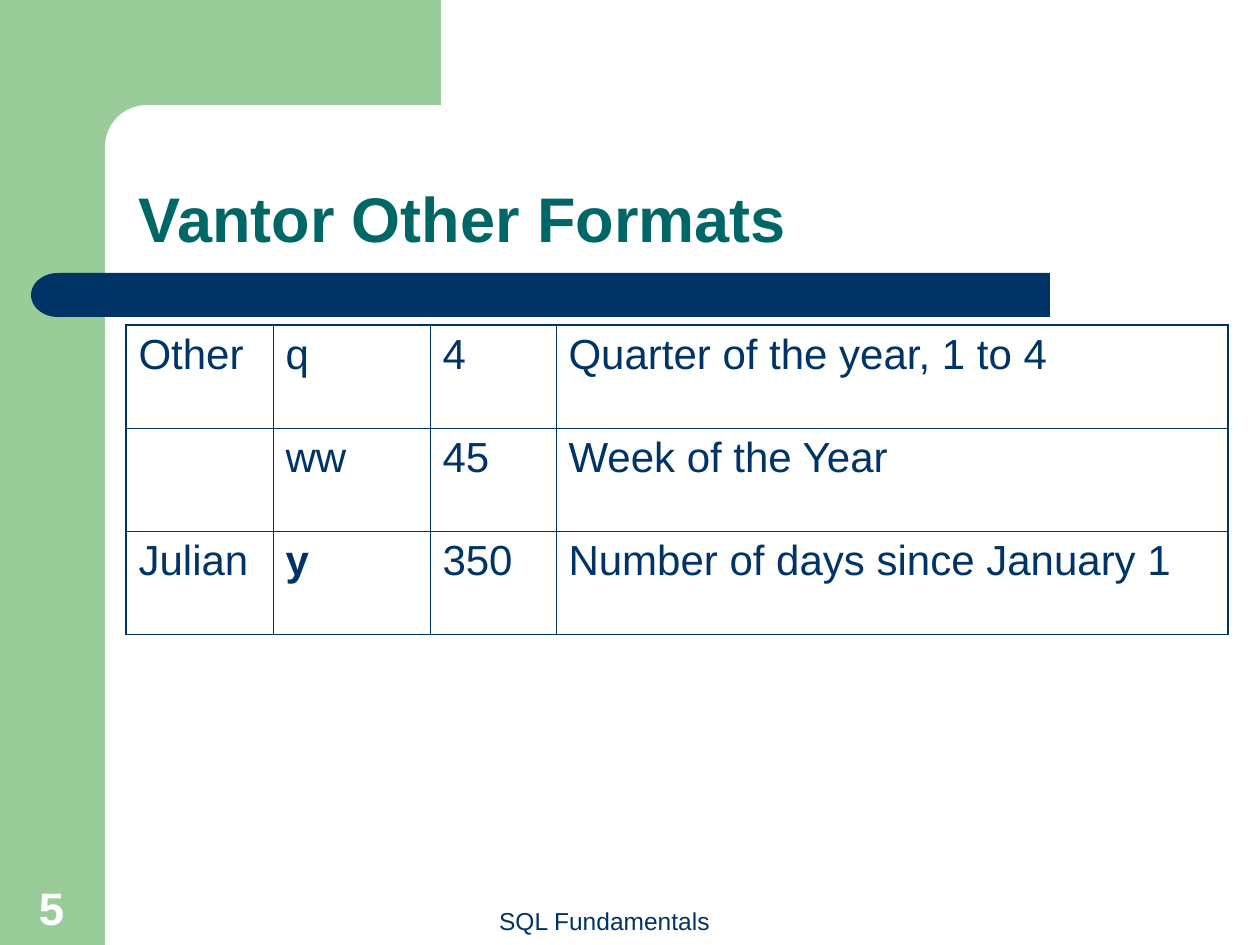
from lxml import etree
from pptx import Presentation
from pptx.dml.color import RGBColor
from pptx.enum.shapes import MSO_SHAPE
from pptx.enum.text import MSO_ANCHOR, PP_ALIGN
from pptx.oxml.ns import qn
from pptx.util import Emu, Pt

RECT, ROUND, DELAY = MSO_SHAPE.RECTANGLE, MSO_SHAPE.ROUNDED_RECTANGLE, MSO_SHAPE.FLOWCHART_DELAY
LEFT, CENTER = PP_ALIGN.LEFT, PP_ALIGN.CENTER
TOP, BOTTOM = MSO_ANCHOR.TOP, MSO_ANCHOR.BOTTOM

COLORS = {"green": "99CC99", "navy": "003366", "teal": "006666", "white": "FFFFFF"}
FONT = "Arial"
TITLE = ("Vantor Other Formats", (126, 105, 1102, 157))
FORMATS = [
    ("Other", "q", "4", "Quarter of the year, 1 to 4"),
    ("", "ww", "45", "Week of the Year"),
    ("Julian", "y", "350", "Number of days since January 1"),
]
BOLD_CELLS = {"y"}
TABLE_AT = (126, 325)
COL_WIDTHS = [147, 157, 126, 672]
ROW_HEIGHT = 103
OUTER, INNER = 1.08, 0.45
DECOR = [
    (RECT, (0, 0, 105, 945), "green"),
    (RECT, (94, 0, 347, 147), "green"),
    (ROUND, (105, 105, 703, 84), "white"),
    (RECT, (84, 273, 966, 44), "navy"),
    (DELAY, (31, 273, 54, 44), "navy"),
]
LABELS = [
    ("5", (11, 873, 81, 68), dict(size=26, color="white", bold=True, align=CENTER)),
    ("SQL Fundamentals", (405, 899, 399, 43), dict(size=14, color="navy", align=CENTER)),
]


def px(n):
    return Emu(round(n * 914400 / 126))


def box(at):
    return [px(n) for n in at]


def rgb(name):
    return RGBColor.from_string(COLORS[name])


def write(tf, text, size, color, bold=False, align=LEFT, before=0, spacing=1.0):
    p = tf.paragraphs[0]
    p.alignment, p.space_before, p.line_spacing = align, Pt(before), spacing
    if not text:
        p.font.size = Pt(size)
        return
    r = p.add_run()
    r.text = text
    r.font.name, r.font.size, r.font.bold = FONT, Pt(size), bold
    r.font.color.rgb = rgb(color)


def set_borders(cell, widths):
    tcPr = cell._tc.get_or_add_tcPr()
    for i, (side, width) in enumerate(zip("LRTB", widths)):
        ln = etree.Element(qn(f"a:ln{side}"), w=str(Pt(width)))
        fill = etree.SubElement(ln, qn("a:solidFill"))
        etree.SubElement(fill, qn("a:srgbClr"), val=COLORS["navy"])
        tcPr.insert(i, ln)


def add_decor(s):
    for kind, at, color in DECOR:
        sp = s.shapes.add_shape(kind, *box(at))
        sp.shadow.inherit = False
        sp.fill.solid()
        sp.fill.fore_color.rgb = rgb(color)
        sp.line.fill.background()
        if kind == ROUND:
            sp.adjustments[0] = 0.5
        if kind == DELAY:
            sp._element.spPr.find(qn("a:xfrm")).set("flipH", "1")


def add_title(s):
    text, at = TITLE
    title = s.shapes.title
    title.left, title.top, title.width, title.height = box(at)
    tf = title.text_frame
    tf.vertical_anchor, tf.word_wrap = BOTTOM, True
    write(tf, text, 36, "teal", bold=True, spacing=0.9)
    tree = s.shapes._spTree
    tree.remove(title._element)
    tree.append(title._element)


def add_formats(s):
    rows, cols = len(FORMATS), len(COL_WIDTHS)
    at = (*TABLE_AT, sum(COL_WIDTHS), rows * ROW_HEIGHT)
    table = s.shapes.add_table(rows, cols, *box(at)).table
    table.first_row = table.horz_banding = False
    for col, width in zip(table.columns, COL_WIDTHS):
        col.width = px(width)
    for i, values in enumerate(FORMATS):
        table.rows[i].height = px(ROW_HEIGHT)
        for j, text in enumerate(values):
            cell = table.cell(i, j)
            cell.fill.background()
            cell.vertical_anchor = TOP
            write(cell.text_frame, text, 24, "navy", bold=text in BOLD_CELLS, before=6)
            edges = (j == 0, j == cols - 1, i == 0, False)
            set_borders(cell, [OUTER if edge else INNER for edge in edges])


def add_labels(s):
    for text, at, style in LABELS:
        tf = s.shapes.add_textbox(*box(at)).text_frame
        tf.word_wrap, tf.vertical_anchor = True, BOTTOM
        write(tf, text, **style)


def main():
    """Build the slide of other date formats."""
    prs = Presentation()
    prs.slide_width, prs.slide_height = px(1260), px(945)
    s = prs.slides.add_slide(prs.slide_layouts[5])
    s.background.fill.solid()
    s.background.fill.fore_color.rgb = rgb("white")
    add_decor(s)
    add_title(s)
    add_formats(s)
    add_labels(s)
    prs.save("out.pptx")


if __name__ == "__main__":
    main()
